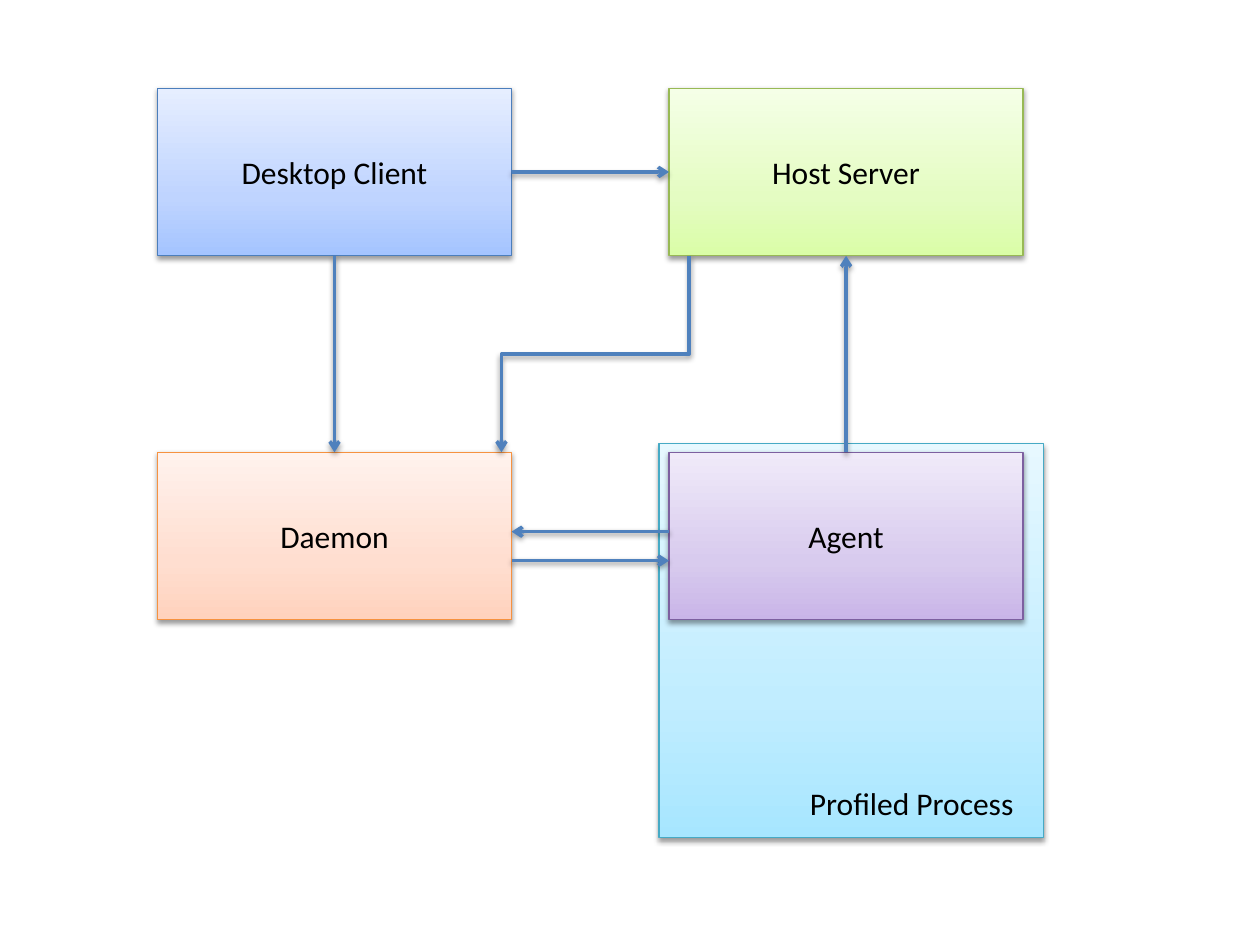
import copy

import lxml.etree
import pptx
import pptx.dml.color
import pptx.enum.dml
import pptx.enum.shapes
import pptx.enum.text
import pptx.oxml.ns
import pptx.util

Inches = pptx.util.Inches
Pt = pptx.util.Pt
RGBColor = pptx.dml.color.RGBColor
Connector = pptx.enum.shapes.MSO_CONNECTOR
qn = pptx.oxml.ns.qn

BLACK = RGBColor(0x00, 0x00, 0x00)
ARROW_BLUE = RGBColor(0x4F, 0x81, 0xBD)
BLUE = RGBColor(0x4B, 0x7E, 0xBC)
GREEN = RGBColor(0x98, 0xB9, 0x55)
ORANGE = RGBColor(0xF6, 0x92, 0x40)
AQUA = RGBColor(0x46, 0xAA, 0xC5)
PURPLE = RGBColor(0x7D, 0x60, 0xA0)
BLUES = [RGBColor(0xA4, 0xC4, 0xFF), RGBColor(0xBF, 0xD4, 0xFF), RGBColor(0xE6, 0xEE, 0xFF)]
GREENS = [RGBColor(0xDA, 0xFD, 0xA7), RGBColor(0xE4, 0xFC, 0xC2), RGBColor(0xF5, 0xFF, 0xE7)]
ORANGES = [RGBColor(0xFF, 0xD2, 0xBD), RGBColor(0xFF, 0xDE, 0xD0), RGBColor(0xFF, 0xF2, 0xED)]
AQUAS = [RGBColor(0xA7, 0xE6, 0xFF), RGBColor(0xC1, 0xED, 0xFF), RGBColor(0xE7, 0xF8, 0xFF)]
PURPLES = [RGBColor(0xC9, 0xB5, 0xE8), RGBColor(0xD8, 0xCB, 0xEE), RGBColor(0xF0, 0xEA, 0xF9)]

STOP_POSITIONS = [0, 0.35, 1]
TEXT_FORMAT = {"name": "Calibri", "size": Pt(18)}
WIDTH, HEIGHT = 2.81, 1.33
LEFT, RIGHT = 1.25, 5.31
UPPER, LOWER = 0.7, 3.59
TOP_SIDE, LEFT_SIDE, BOTTOM_SIDE, RIGHT_SIDE = range(4)

BOXES = [
    ("Desktop Client", (LEFT, UPPER, WIDTH, HEIGHT), BLUES, BLUE),
    ("Host Server", (RIGHT, UPPER, WIDTH, HEIGHT), GREENS, GREEN),
    ("Daemon", (LEFT, LOWER, WIDTH, HEIGHT), ORANGES, ORANGE),
    ("", (5.23, 3.52, 3.05, 3.13), AQUAS, AQUA),
    ("Agent", (RIGHT, LOWER, WIDTH, HEIGHT), PURPLES, PURPLE),
]
PROCESS_LABEL = ("Profiled Process", (6.33, 6.17, 1.88, 0.4))
JOINED_ARROWS = [
    ("Desktop Client", RIGHT_SIDE, "Host Server", LEFT_SIDE),
    ("Desktop Client", BOTTOM_SIDE, "Daemon", TOP_SIDE),
    ("Agent", TOP_SIDE, "Host Server", BOTTOM_SIDE),
]
FREE_ARROWS = [
    ((RIGHT, 4.22), (LEFT + WIDTH, 4.22)),
    ((LEFT + WIDTH, 4.45), (RIGHT, 4.45)),
]
BENT_START, BENT_END = (5.47, UPPER + HEIGHT), (3.98, LOWER)


def add_shadow(shape):
    effects = lxml.etree.SubElement(shape._element.spPr, qn("a:effectLst"))
    shadow = lxml.etree.SubElement(
        effects, qn("a:outerShdw"), blurRad=str(Pt(3.1)), dist=str(Pt(1.6)),
        dir="5400000", rotWithShape="0")
    color = lxml.etree.SubElement(shadow, qn("a:srgbClr"), val=str(BLACK))
    lxml.etree.SubElement(color, qn("a:alpha"), val="38000")


def write(shape, text):
    span = shape.text_frame.paragraphs[0].add_run()
    span.text = text
    for name, value in TEXT_FORMAT.items():
        setattr(span.font, name, value)
    span.font.color.rgb = BLACK


def add_box(page, text, place, colors, edge):
    box = page.shapes.add_shape(
        pptx.enum.shapes.MSO_SHAPE.RECTANGLE, *map(Inches, place))
    box.fill.gradient()
    box.fill.gradient_angle = 90
    first_stop = box._element.spPr.find(".//" + qn("a:gs"))
    first_stop.addnext(copy.deepcopy(first_stop))
    for stop, position, color in zip(box.fill.gradient_stops, STOP_POSITIONS, colors):
        stop.position = position
        stop.color.rgb = color
    box.line.color.rgb = edge
    box.line.width = Pt(0.75)
    add_shadow(box)
    if text:
        box.text_frame.vertical_anchor = pptx.enum.text.MSO_ANCHOR.MIDDLE
        box.text_frame.paragraphs[0].alignment = pptx.enum.text.PP_ALIGN.CENTER
        write(box, text)
    return box


def add_arrow(page, start=(0, 0), end=(0, 0), kind=Connector.STRAIGHT):
    arrow = page.shapes.add_connector(kind, *map(Inches, start + end))
    arrow.line.color.rgb = ARROW_BLUE
    arrow.line.width = Pt(2)
    lxml.etree.SubElement(arrow.line._get_or_add_ln(), qn("a:tailEnd"), type="arrow")
    add_shadow(arrow)
    return arrow


def add_downward_bent_arrow(page, start, end):
    center_x, center_y = (start[0] + end[0]) / 2, (start[1] + end[1]) / 2
    half_drop, half_run = (end[1] - start[1]) / 2, (start[0] - end[0]) / 2
    arrow = add_arrow(
        page, (center_x - half_drop, center_y - half_run),
        (center_x + half_drop, center_y + half_run), Connector.ELBOW)
    arrow._element.spPr.find(qn("a:xfrm")).set("rot", "5400000")


def main():
    deck = pptx.Presentation()
    deck.slide_width, deck.slide_height = Inches(10), Inches(7.5)
    page = deck.slides.add_slide(deck.slide_layouts[6])

    boxes = {box[0]: add_box(page, *box) for box in BOXES}

    text, place = PROCESS_LABEL
    label = page.shapes.add_textbox(*map(Inches, place))
    label.text_frame.word_wrap = False
    label.text_frame.auto_size = pptx.enum.text.MSO_AUTO_SIZE.SHAPE_TO_FIT_TEXT
    write(label, text)

    for source, source_side, target, target_side in JOINED_ARROWS:
        arrow = add_arrow(page)
        arrow.begin_connect(boxes[source], source_side)
        arrow.end_connect(boxes[target], target_side)
    for start, end in FREE_ARROWS:
        add_arrow(page, start, end)
    add_downward_bent_arrow(page, BENT_START, BENT_END)

    deck.save("out.pptx")


if __name__ == "__main__":
    main()
